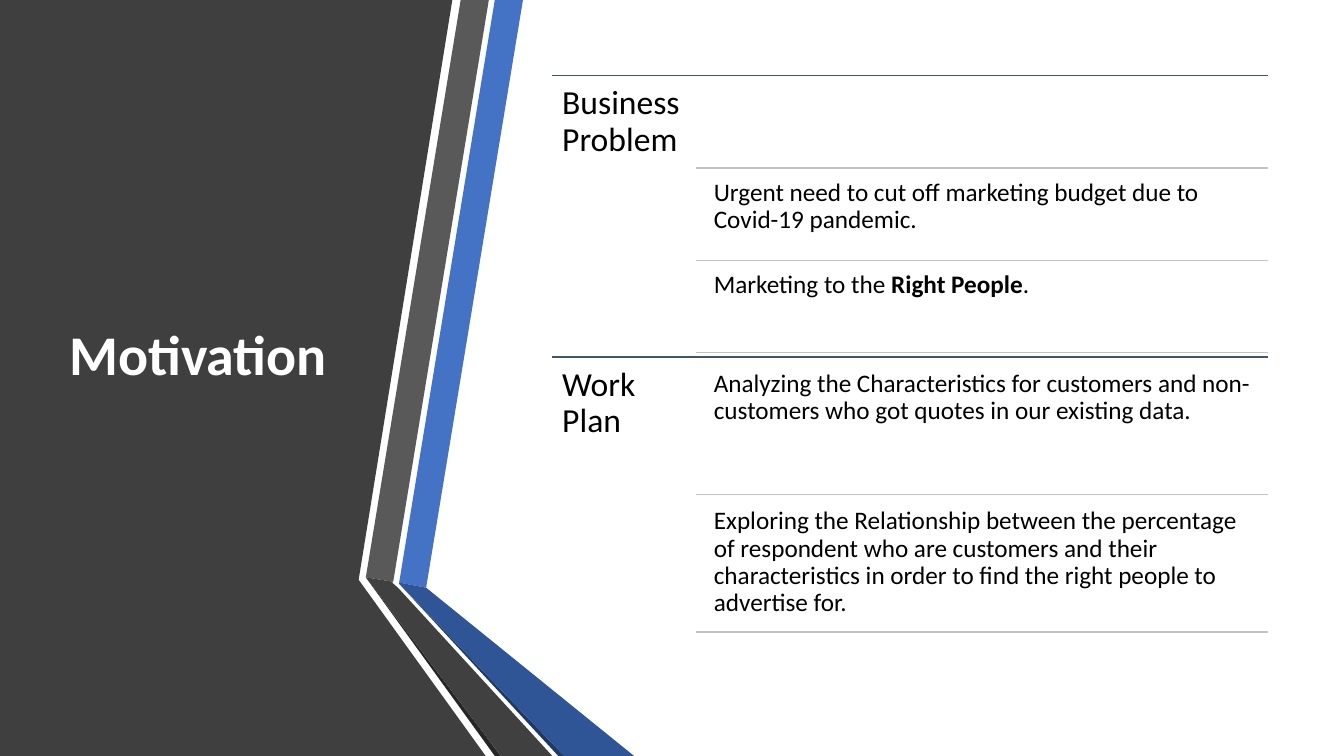
from pptx import Presentation
from pptx.dml.color import RGBColor
from pptx.enum.shapes import MSO_CONNECTOR
from pptx.enum.text import MSO_ANCHOR
from pptx.oxml.ns import qn
from pptx.util import Cm, Pt

STRAIGHT = MSO_CONNECTOR.STRAIGHT
TOP, MIDDLE = MSO_ANCHOR.TOP, MSO_ANCHOR.MIDDLE
FONT = "Calibri"
PAGE_WIDTH, PAGE_HEIGHT = 33.87, 19.05
GAP_SHARE = 0.05  # gap between items, as a share of the item height
LABEL_WIDTH, ITEM_INDENT = 3.61, 3.89

# Outlines in cm from the corner of the ribbon, back to front
RIBBON = [
    ("3F3F3F", [(0, 0), (11.4, 0), (9.04, 14.61), (12.24, 19.05), (0, 19.05)]),
    ("4472C4", [(10.06, 14.68), (10.74, 14.81), (13.18, 0), (12.47, 0)]),
    ("595959", [(12.32, 0), (11.61, 0), (9.22, 14.55), (9.91, 14.66)]),
    ("262626", [(9.22, 14.55), (12.47, 19.05), (12.62, 19.05)]),
    ("203864", [(10.06, 14.71), (14.07, 19.05), (14.22, 19.05)]),
    ("2F5597", [(10.06, 14.71), (14.22, 19.05), (15.98, 19.05), (10.74, 14.81), (10.06, 14.68)]),
    ("404040", [(13.92, 19.05), (10.03, 14.81), (9.88, 14.68), (9.91, 14.66),
                (9.22, 14.55), (12.62, 19.05)]),
]

# Each item is a list of (text, bold) spans; an empty item keeps its place
SECTIONS = [
    ("Business Problem", [
        [],
        [("Urgent need to cut off marketing budget due to Covid-19 pandemic.", False)],
        [("Marketing to the ", False), ("Right People", True), (".", False)],
    ]),
    ("Work Plan", [
        [("Analyzing the Characteristics for customers and non-customers "
          "who got quotes in our existing data.", False)],
        [("Exploring the Relationship between the percentage of respondent who are "
          "customers and their characteristics in order to find the right people "
          "to advertise for.", False)],
    ]),
]


def rgb(color):
    return RGBColor.from_string(color)


def add_text(page, spans, left, top, width, height, size,
             color="000000", anchor=TOP, inset=0.25, space_after=0):
    """Place one paragraph made of (text, bold) spans."""
    frame = page.shapes.add_textbox(Cm(left), Cm(top), Cm(width), Cm(height)).text_frame
    frame.word_wrap = True
    frame.vertical_anchor = anchor
    frame.margin_left = frame.margin_right = Cm(inset)
    frame.margin_top = frame.margin_bottom = Cm(inset)
    para = frame.paragraphs[0]
    para.line_spacing = 0.9
    para.space_after = Pt(space_after)
    for text, bold in spans:
        span = para.add_run()
        span.text = text
        span.font.name = FONT
        span.font.size = Pt(size)
        span.font.bold = bold
        span.font.color.rgb = rgb(color)


def add_rule(page, left, top, width, color):
    rule = page.shapes.add_connector(STRAIGHT, Cm(left), Cm(top), Cm(left + width), Cm(top))
    rule.line.color.rgb = rgb(color)
    rule.line.width = Pt(1)
    properties = rule._element.spPr
    properties.append(properties.makeelement(qn("a:effectLst"), {}))


def add_ribbon(page, left, top):
    for color, outline in RIBBON:
        points = [(Cm(left + x), Cm(top + y)) for x, y in outline]
        builder = page.shapes.build_freeform(*points[0])
        builder.add_line_segments(points[1:], close=True)
        band = builder.convert_to_shape()
        band.shadow.inherit = False
        band.fill.solid()
        band.fill.fore_color.rgb = rgb(color)
        band.line.fill.background()


def add_section(page, label, items, left, top, width, height):
    """Place a label beside its items, each item closed by a thin rule."""
    add_rule(page, left, top, width, "44546A")
    add_text(page, [(label, False)], left, top, LABEL_WIDTH, height, 24, space_after=10)
    count = len(items)
    item_height = height / (count + GAP_SHARE * (count + 1))
    gap = item_height * GAP_SHARE
    for index, spans in enumerate(items):
        item_top = top + gap + index * (item_height + gap)
        if spans:
            add_text(page, spans, left + ITEM_INDENT, item_top, width - ITEM_INDENT,
                     item_height, 18, inset=0.18, space_after=8)
        add_rule(page, left + LABEL_WIDTH, item_top + item_height,
                 width - LABEL_WIDTH, "C0C3C7")


def add_sections(page, left, top, width, height):
    section_height = height / len(SECTIONS)
    for index, (label, items) in enumerate(SECTIONS):
        add_section(page, label, items, left, top + index * section_height,
                    width, section_height)


def main():
    deck = Presentation()
    deck.slide_width, deck.slide_height = Cm(PAGE_WIDTH), Cm(PAGE_HEIGHT)
    page = deck.slides.add_slide(deck.slide_layouts[6])
    add_ribbon(page, 0, 0)
    add_text(page, [("Motivation", True)], 1.5, 1.91, 7.72, 14.17, 40,
             color="FFFFFF", anchor=MIDDLE)
    add_sections(page, 13.92, 1.91, 18.03, 14.18)
    deck.save("out.pptx")


if __name__ == "__main__":
    main()
